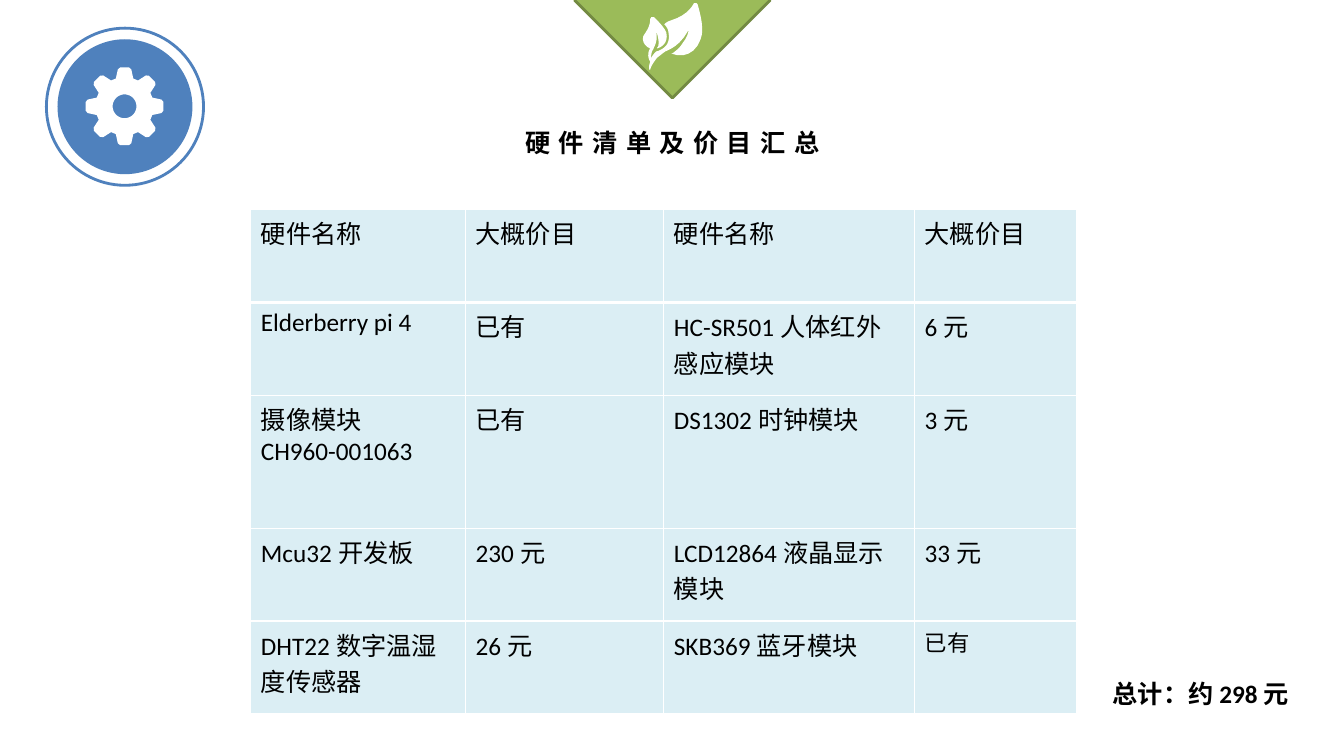
from math import cos, pi, sin

from lxml.etree import SubElement
from pptx import Presentation
from pptx.dml.color import RGBColor
from pptx.enum.shapes import MSO_SHAPE
from pptx.enum.text import MSO_ANCHOR, PP_ALIGN
from pptx.oxml.ns import qn
from pptx.util import Cm, Pt

BLACK = RGBColor(0x00, 0x00, 0x00)
WHITE = RGBColor(0xFF, 0xFF, 0xFF)
BLUE = RGBColor(0x4F, 0x81, 0xBD)
GREEN = RGBColor(0x9B, 0xBB, 0x59)
DARK_GREEN = RGBColor(0x73, 0x8A, 0x42)
PALE_BLUE = RGBColor(0xDB, 0xEE, 0xF4)

LATIN_FONT = "Calibri"
CHINESE_FONT = "Noto Sans CJK SC"

COLUMN_WIDTHS = [5.41, 5.0, 6.32, 4.09]
ROW_HEIGHTS = [2.34, 2.34, 3.35, 2.34, 2.34]
HARDWARE = [
    ["硬件名称", "大概价目", "硬件名称", "大概价目"],
    ["Elderberry pi 4", "已有", "HC-SR501人体红外感应模块", "6元"],
    ["摄像模块\nCH960-001063", "已有", "DS1302时钟模块", "3元"],
    ["Mcu32开发板", "230元", "LCD12864液晶显示模块", "33元"],
    ["DHT22数字温湿度传感器", "26元", "SKB369蓝牙模块", "已有"],
]

# One gear tooth, in cm from the gear's centre; the others are turned copies.
TOOTH = [(-0.22, -0.7), (-0.17, -0.93), (-0.11, -0.98),
         (0.11, -0.98), (0.17, -0.93), (0.22, -0.7)]
TOOTH_COUNT = 8
HOLE_RADIUS = 0.3

# Bezier segments of the leaves, in hundredths of an inch.
LEAF_UNIT = 0.0254
LEAF_START = (57, 1)
LEAF_CURVES = [
    (56, 0, 56, 0, 55, 0), (54, 0, 53, 0, 53, 1), (50, 6, 44, 13, 31, 17),
    (28, 18, 26, 19, 24, 21), (26, 23, 28, 26, 28, 28), (29, 33, 29, 38, 26, 42),
    (26, 42, 25, 43, 25, 43), (23, 45, 20, 47, 16, 48), (14, 50, 12, 52, 11, 55),
    (11, 55, 11, 54, 11, 53), (11, 50, 12, 47, 13, 46), (14, 43, 18, 38, 16, 28),
    (18, 33, 19, 38, 18, 43), (17, 44, 17, 44, 17, 45), (24, 43, 28, 37, 26, 29),
    (24, 24, 18, 18, 14, 14), (13, 14, 12, 14, 11, 14), (11, 15, 10, 15, 10, 16),
    (10, 20, 9, 24, 5, 30), (0, 35, 4, 43, 10, 45), (7, 49, 8, 55, 10, 58),
    (10, 59, 9, 61, 9, 63), (9, 65, 9, 66, 9, 66), (9, 66, 10, 66, 10, 66),
    (11, 62, 14, 58, 17, 54), (20, 52, 22, 50, 25, 48), (29, 46, 39, 43, 48, 27),
    (48, 30, 46, 35, 42, 40), (39, 45, 37, 46, 32, 50), (31, 50, 31, 50, 31, 50),
    (43, 55, 55, 50, 60, 36), (64, 27, 60, 11, 57, 1),
]


def turn(point, angle):
    x, y = point
    return x * cos(angle) - y * sin(angle), x * sin(angle) + y * cos(angle)


def gear_contours():
    teeth = [turn(point, 2 * pi * tooth / TOOTH_COUNT)
             for tooth in range(TOOTH_COUNT) for point in TOOTH]
    hole = [turn((HOLE_RADIUS, 0), -2 * pi * step / 48) for step in range(48)]
    return [teeth, hole]


def leaf_contours(steps=6):
    """Sample the Bezier segments into one outline in cm."""
    points = [LEAF_START]
    for x1, y1, x2, y2, x3, y3 in LEAF_CURVES:
        corners = [points[-1], (x1, y1), (x2, y2), (x3, y3)]
        for step in range(1, steps + 1):
            t = step / steps
            weights = [(1 - t) ** 3, 3 * t * (1 - t) ** 2, 3 * t * t * (1 - t), t ** 3]
            points.append(tuple(
                sum(weight * corner[axis] for weight, corner in zip(weights, corners))
                for axis in (0, 1)))
    return [[(x * LEAF_UNIT, y * LEAF_UNIT) for x, y in points]]


class SlideBuilder:
    def __init__(self, presentation):
        self.slide = presentation.slides.add_slide(presentation.slide_layouts[5])
        self.shapes = self.slide.shapes
        self.font_format = {"size": Pt(18), "name": LATIN_FONT, "bold": False}

    def fill_text(self, text_frame, text, spacing=None, **changes):
        text_frame.text = text
        for paragraph in text_frame.paragraphs:
            for run in paragraph.runs:
                for name, value in {**self.font_format, **changes}.items():
                    setattr(run.font, name, value)
                run.font.color.rgb = BLACK
                properties = run._r.get_or_add_rPr()
                SubElement(properties, qn("a:ea"), typeface=CHINESE_FONT)
                if spacing:
                    properties.set("spc", str(spacing * 100))

    def paint(self, shape, fill=None, line=None):
        shape.shadow.inherit = False
        if fill is None:
            shape.fill.background()
        else:
            shape.fill.solid()
            shape.fill.fore_color.rgb = fill
        if line is None:
            shape.line.fill.background()
        else:
            shape.line.color.rgb = line
            shape.line.width = Pt(2)

    def shape(self, kind, left, top, size, **colors):
        shape = self.shapes.add_shape(kind, Cm(left), Cm(top), Cm(size), Cm(size))
        self.paint(shape, **colors)

    def outline(self, contours, left, top, fill):
        """Draw closed contours given in cm from the point (left, top)."""
        contours = [[(Cm(x), Cm(y)) for x, y in contour] for contour in contours]
        builder = self.shapes.build_freeform(*contours[0][0])
        builder.add_line_segments(contours[0][1:])
        for contour in contours[1:]:
            builder.move_to(*contour[0])
            builder.add_line_segments(contour[1:])
        self.paint(builder.convert_to_shape(Cm(left), Cm(top)), fill=fill)

    def title(self, text, left, top, width, height):
        title = self.shapes.title
        place = {"left": left, "top": top, "width": width, "height": height}
        for name, value in place.items():
            setattr(title, name, Cm(value))
        frame = title.text_frame
        self.fill_text(frame, text, spacing=6, name=CHINESE_FONT, bold=True)
        frame.word_wrap = False
        frame.vertical_anchor = MSO_ANCHOR.TOP
        frame.paragraphs[0].alignment = PP_ALIGN.CENTER
        frame.paragraphs[0].line_spacing = 1.5

    def text(self, text, left, top, width, height):
        box = self.shapes.add_textbox(Cm(left), Cm(top), Cm(width), Cm(height))
        box.text_frame.word_wrap = True
        self.fill_text(box.text_frame, text, bold=True)

    def border(self, cell, bottom_width):
        properties = cell._tc.get_or_add_tcPr()
        for side, width in {"L": 1, "R": 1, "T": 1, "B": bottom_width}.items():
            line = SubElement(properties, qn(f"a:ln{side}"), w=str(Pt(width)))
            fill = SubElement(line, qn("a:solidFill"))
            SubElement(fill, qn("a:srgbClr"), val=str(WHITE))

    def table(self, rows, left, top):
        table = self.shapes.add_table(
            len(rows), len(rows[0]), Cm(left), Cm(top),
            Cm(sum(COLUMN_WIDTHS)), Cm(sum(ROW_HEIGHTS))).table
        table.horz_banding = table.first_row = False
        for column, width in zip(table.columns, COLUMN_WIDTHS):
            column.width = Cm(width)
        for row, height in zip(table.rows, ROW_HEIGHTS):
            row.height = Cm(height)
        last_cell = (len(rows) - 1, len(rows[0]) - 1)
        for row_index, row in enumerate(rows):
            for column_index, text in enumerate(row):
                cell = table.cell(row_index, column_index)
                size = 16 if (row_index, column_index) == last_cell else 18
                self.fill_text(cell.text_frame, text, size=Pt(size))
                self.border(cell, bottom_width=3 if row_index == 0 else 1)
                cell.fill.solid()
                cell.fill.fore_color.rgb = PALE_BLUE


def main():
    presentation = Presentation()
    presentation.slide_width = Cm(33.87)
    presentation.slide_height = Cm(19.05)

    builder = SlideBuilder(presentation)
    builder.title("硬件清单及价目汇总", 9.4, 2.69, 15.09, 1.52)
    builder.table(HARDWARE, 6.32, 5.28)
    builder.text("总计：约298元", 27.79, 16.97, 5.49, 1.02)
    builder.shape(MSO_SHAPE.OVAL, 1.45, 0.99, 3.4, fill=BLUE)
    builder.shape(MSO_SHAPE.OVAL, 1.17, 0.71, 3.96, line=BLUE)
    builder.outline(gear_contours(), 3.14, 2.68, WHITE)
    builder.shape(MSO_SHAPE.DIAMOND, 14.48, -2.46, 4.93, fill=GREEN, line=DARK_GREEN)
    builder.outline(leaf_contours(), 16.13, 0.08, WHITE)

    presentation.save("out.pptx")


if __name__ == "__main__":
    main()
